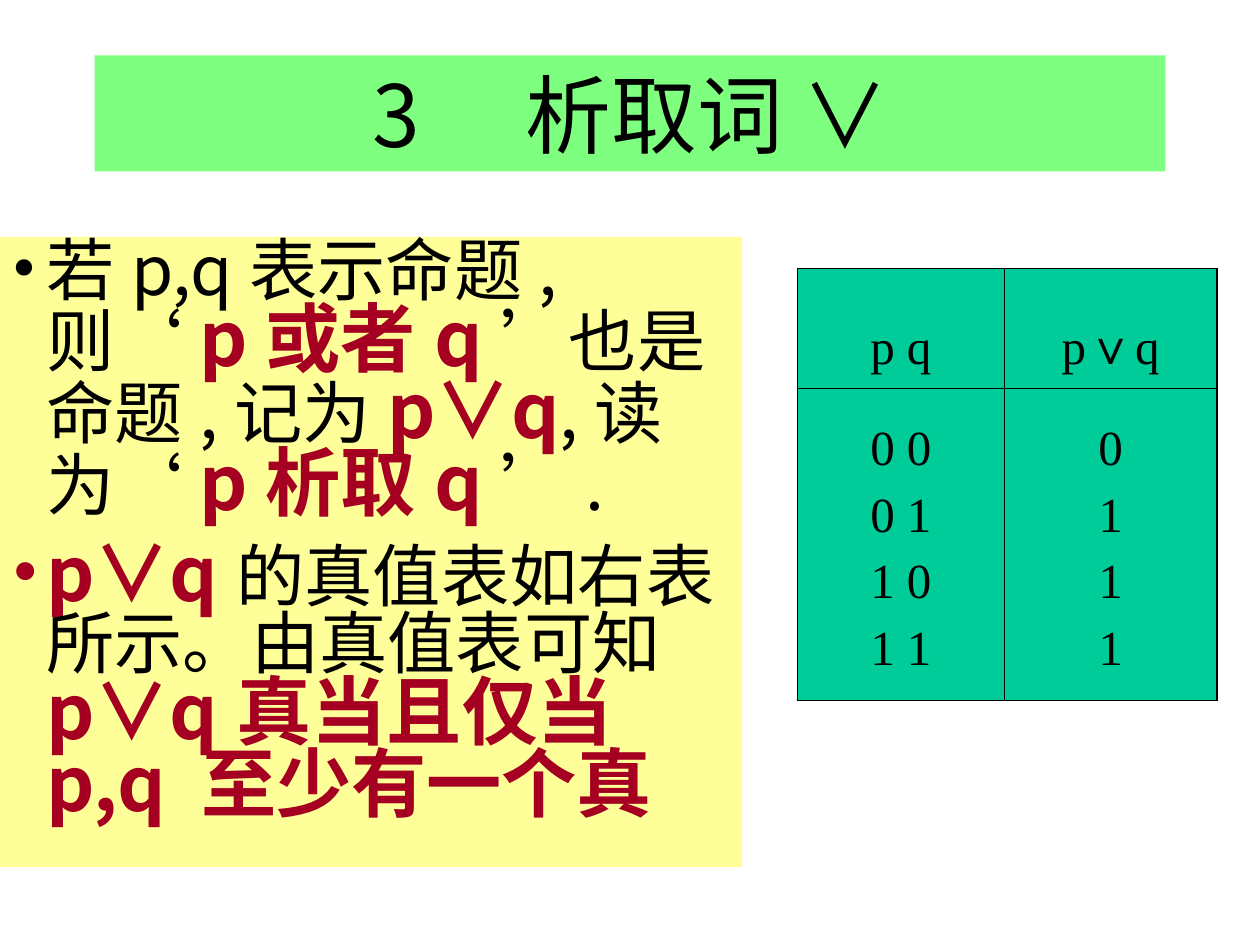
from lxml import etree
from pptx import Presentation
from pptx import util as u
from pptx.dml.color import RGBColor
from pptx.enum import text
from pptx.oxml.ns import qn

COLORS = {"black": "000000", "red": "A50021", "green": "00FF00",
          "yellow": "FFFF99", "teal": "00CC99"}
SANS = "Noto Sans CJK SC"
SERIF = "Times New Roman"
THIN, THICK = 0.45, 1.08

# Each span is (wording, style); the styles are defined in SlideBuilder.SPANS.
DEFINITION = [("若p,q表示命题,则", "plain"), ("‘", "quote"), ("p或者q", "key"),
              ("’", "quote"), ("也是命题,记为", "plain"), ("p∨q", "key"),
              (",读为", "plain"), ("‘", "quote"), ("p析取q", "key"),
              ("’", "quote"), (".", "plain")]
TRUTH = [("p∨q", "key"), ("的真值表如右表所示。由真值表可知 ", "plain"),
         ("p∨q真当且仅当p,q 至少有一个真", "key")]
TABLE = [[["p q"], ["p∨q"]],
         [["0 0", "0 1", "1 0", "1 1"], ["0", "1", "1", "1"]]]


def add_child(parent, tag, **attributes):
    return etree.SubElement(parent, qn(tag), attributes)


class SlideBuilder:
    SPANS = {"plain": (SANS, 39, "black", False),
             "quote": (SERIF, 39, "black", False),
             "key": (SANS, 43, "red", True)}

    def __init__(self, page):
        self.page = page

    def format_span(self, span, font, size, color, bold=False):
        span.font.name = font
        span.font.size = u.Pt(size)
        span.font.bold = bold
        span.font.color.rgb = RGBColor.from_string(COLORS[color])
        add_child(span.font._element, "a:ea", typeface=SANS)

    def paint(self, fill, color, opacity=100):
        fill.solid()
        fill.fore_color.rgb = RGBColor.from_string(COLORS[color])
        if opacity < 100:
            tint = fill._xPr.find(".//" + qn("a:srgbClr"))
            add_child(tint, "a:alpha", val=str(opacity * 1000))

    def title(self, wording, left, top, width, height):
        box = self.page.shapes.title
        box.left, box.top = u.Inches(left), u.Inches(top)
        box.width, box.height = u.Inches(width), u.Inches(height)
        self.paint(box.fill, "green", 50)
        frame = box.text_frame
        frame.text = wording
        frame.auto_size = text.MSO_AUTO_SIZE.NONE
        frame.vertical_anchor = text.MSO_ANCHOR.MIDDLE
        para = frame.paragraphs[0]
        para.alignment = text.PP_ALIGN.CENTER
        self.format_span(para.runs[0], SANS, 49, "black")

    def bullets(self, items, left, top, width, height):
        box = self.page.shapes.add_textbox(
            u.Inches(left), u.Inches(top), u.Inches(width), u.Inches(height))
        self.paint(box.fill, "yellow")
        frame = box.text_frame
        frame.word_wrap = True
        for index, spans in enumerate(items):
            para = frame.add_paragraph() if index else frame.paragraphs[0]
            self.add_bullet(para, COLORS[self.SPANS[spans[0][1]][2]])
            para.line_spacing = 0.8
            if index:
                para.space_before = u.Pt(10.7)
            for wording, style in spans:
                span = para.add_run()
                span.text = wording
                self.format_span(span, *self.SPANS[style])

    def add_bullet(self, para, color):
        properties = para._p.get_or_add_pPr()
        indent = u.Inches(0.27)
        properties.set("marL", str(indent))
        properties.set("indent", str(-indent))
        add_child(add_child(properties, "a:buClr"), "a:srgbClr", val=color)
        add_child(properties, "a:buFont", typeface=SERIF)
        add_child(properties, "a:buChar", char="•")

    def table(self, rows, left, top, widths, heights, top_margins):
        grid = self.page.shapes.add_table(
            len(rows), len(widths), u.Inches(left), u.Inches(top),
            u.Inches(sum(widths)), u.Inches(sum(heights))).table
        grid.first_row = grid.horz_banding = False
        for column, width in zip(grid.columns, widths):
            column.width = u.Inches(width)
        for r, row in enumerate(rows):
            grid.rows[r].height = u.Inches(heights[r])
            for c, lines in enumerate(row):
                cell = grid.cell(r, c)
                cell.margin_top = u.Inches(top_margins[r])
                outer = {"a:lnL": c == 0, "a:lnR": c == len(widths) - 1,
                         "a:lnT": r == 0, "a:lnB": r == len(rows) - 1}
                self.borders(cell, outer)
                self.paint(cell.fill, "teal", 50)
                self.cell_lines(cell, lines)

    def borders(self, cell, outer):
        """Draw thick lines on the outer edges and thin ones inside."""
        properties = cell._tc.get_or_add_tcPr()
        for tag, is_outer in outer.items():
            width = u.Pt(THICK if is_outer else THIN)
            line = add_child(properties, tag, w=str(width))
            solid = add_child(line, "a:solidFill")
            add_child(solid, "a:srgbClr", val=COLORS["black"])

    def cell_lines(self, cell, lines):
        cell.text_frame.text = "\n".join(lines)
        for index, para in enumerate(cell.text_frame.paragraphs):
            para.alignment = text.PP_ALIGN.CENTER
            if index:
                para.space_before = u.Pt(7)
            self.format_span(para.runs[0], SERIF, 28, "black")


def main():
    deck = Presentation()
    deck.slide_width, deck.slide_height = u.Inches(10), u.Inches(7.5)
    builder = SlideBuilder(deck.slides.add_slide(deck.slide_layouts[5]))
    builder.title("3　析取词 ∨", 0.75, 0.44, 8.5, 0.92)
    builder.bullets([DEFINITION, TRUTH], 0, 1.88, 5.89, 5)
    builder.table(TABLE, 6.33, 2.13, widths=[1.64, 1.69],
                  heights=[0.95, 2.47], top_margins=[0.42, 0.27])
    deck.save("out.pptx")


if __name__ == "__main__":
    main()
